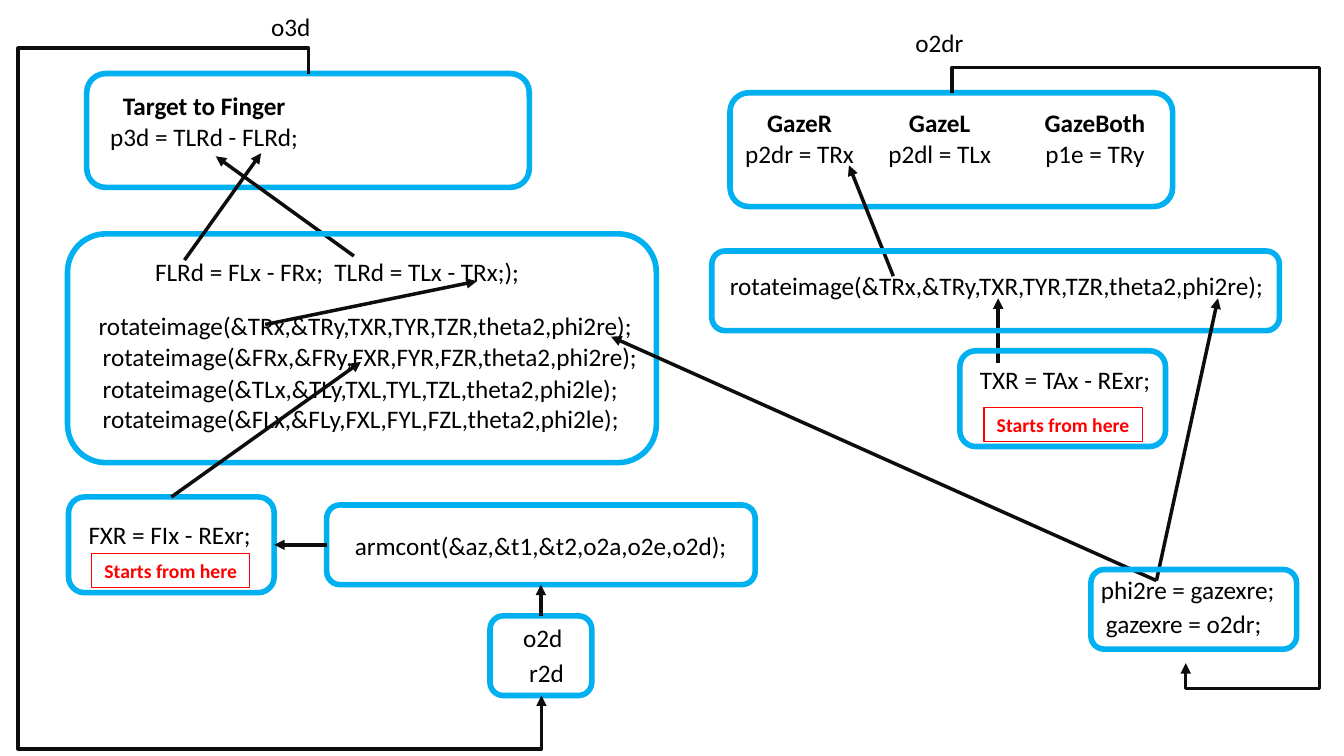
from dataclasses import dataclass

from lxml.etree import SubElement
from pptx import Presentation
from pptx.dml.color import RGBColor
from pptx.enum.shapes import MSO_CONNECTOR, MSO_SHAPE
from pptx.enum.text import MSO_AUTO_SIZE, PP_ALIGN
from pptx.oxml.ns import qn
from pptx.util import Inches, Pt

TOP, LEFT, BOTTOM, RIGHT = range(4)


@dataclass(frozen=True)
class Theme:
    font: str = "Calibri"
    text: RGBColor = RGBColor(0x00, 0x00, 0x00)
    box: RGBColor = RGBColor(0x00, 0xB0, 0xF0)
    arrow: RGBColor = RGBColor(0x0D, 0x0D, 0x0D)
    tag: RGBColor = RGBColor(0xFF, 0x00, 0x00)
    body_size: float = 18
    tag_size: float = 14
    box_line: float = 4
    arrow_line: float = 2.5
    tag_line: float = 0.75


def grid(*cells):
    """Turn columns or rows, ten to the inch, into lengths."""
    return [Inches(cell / 10) for cell in cells]


def write_text(frame, text, *, font, size, color, bold=False,
               bold_first=False, align=None, wrap=True):
    """Write one paragraph for each line of the text."""
    frame.word_wrap = wrap
    frame.auto_size = MSO_AUTO_SIZE.SHAPE_TO_FIT_TEXT
    for index, line in enumerate(text.split("\n")):
        paragraph = frame.add_paragraph() if index else frame.paragraphs[0]
        paragraph.alignment = align
        run = paragraph.add_run()
        run.text = line
        run.font.name = font
        run.font.size = Pt(size)
        run.font.color.rgb = color
        run.font.bold = bold or (bold_first and index == 0)


class FlowSlide:
    def __init__(self, presentation, theme):
        self.theme = theme
        self.slide = presentation.slides.add_slide(presentation.slide_layouts[6])

    def _outline(self, kind, frame, color, width):
        shape = self.slide.shapes.add_shape(kind, *grid(*frame))
        shape.shadow.inherit = False
        shape.fill.background()
        shape.line.color.rgb = color
        shape.line.width = Pt(width)
        return shape

    def box(self, *frame):
        return self._outline(MSO_SHAPE.ROUNDED_RECTANGLE, frame,
                             self.theme.box, self.theme.box_line)

    def tag(self, text, *frame):
        shape = self._outline(MSO_SHAPE.RECTANGLE, frame,
                              self.theme.tag, self.theme.tag_line)
        write_text(shape.text_frame, text, font=self.theme.font,
                   size=self.theme.tag_size, color=self.theme.tag,
                   bold=True, align=PP_ALIGN.CENTER)

    def label(self, text, *frame, **text_format):
        text_box = self.slide.shapes.add_textbox(*grid(*frame))
        write_text(text_box.text_frame, text, font=self.theme.font,
                   size=self.theme.body_size, color=self.theme.text, **text_format)

    def code(self, text, *frame):
        self.label(text, *frame, wrap=False)

    def heading(self, text, *frame):
        self.label(text, *frame, bold_first=True, align=PP_ALIGN.CENTER)

    def arrow(self, start, end, begin=None, finish=None, kind=MSO_CONNECTOR.STRAIGHT):
        """Draw an arrow; begin and finish are (box, side) pairs to join."""
        connector = self.slide.shapes.add_connector(kind, *grid(*start, *end))
        connector.line.color.rgb = self.theme.arrow
        connector.line.width = Pt(self.theme.arrow_line)
        line = connector._element.spPr.find(qn("a:ln"))
        SubElement(line, qn("a:tailEnd"), type="triangle")
        SubElement(connector._element.spPr, qn("a:effectLst"))
        if begin:
            connector.begin_connect(*begin)
        if finish:
            connector.end_connect(*finish)
        return connector

    def loop(self, start, end, side, upper, lower, begin=None, finish=None):
        """Lead an arrow up to one row, round a side column and up from a lower row."""
        connector = self.arrow(start, end, begin, finish, MSO_CONNECTOR.ELBOW)
        width, height = end[1] - start[1], end[0] - start[0]
        left = (start[0] + end[0] - width) / 2
        top = (start[1] + end[1] - height) / 2
        (connector.left, connector.top,
         connector.width, connector.height) = grid(left, top, width, height)
        properties = connector._element.spPr
        transform = properties.find(qn("a:xfrm"))
        transform.attrib.pop("flipV", None)
        transform.set("rot", str(270 * 60000))
        transform.set("flipH", "1")
        geometry = properties.find(qn("a:prstGeom"))
        geometry.set("prst", "bentConnector5")
        guides = geometry.find(qn("a:avLst"))
        bends = ((upper - start[1]) / width, (side - start[0]) / height,
                 (lower - start[1]) / width)
        for number, bend in enumerate(bends, 1):
            SubElement(guides, qn("a:gd"), name=f"adj{number}",
                       fmla=f"val {round(bend * 100000)}")


def draw_finger_side(flow):
    # Target to finger
    target_box = flow.box(8.6, 7.3, 43.9, 11.3)
    flow.heading("Target to Finger\np3d = TLRd - FLRd;", 9.2, 8.5, 22.1, 7.1)
    flow.code("o3d", 25.9, 0.6, 6, 4)
    flow.arrow((35.1, 25.4), (21.4, 15.5))

    # Image rotation
    flow.code("FLRd = FLx - FRx;  TLRd = TLx - TRx;);", 14.4, 24.9, 38.6, 4)
    flow.arrow((26.3, 32.2), (47.3, 27.9))
    flow.box(6.7, 23.2, 58.4, 22.7)
    flow.arrow((18.3, 25.8), (25.9, 15.2))
    flow.code("rotateimage(&TRx,&TRy,TXR,TYR,TZR,theta2,phi2re);", 8.8, 30.3, 55.4, 4)
    flow.code("rotateimage(&FRx,&FRy,FXR,FYR,FZR,theta2,phi2re);", 9.2, 33.4, 55.5, 4)
    flow.label("rotateimage(&TLx,&TLy,TXL,TYL,TZL,theta2,phi2le);\n"
               "rotateimage(&FLx,&FLy,FXL,FYL,FZL,theta2,phi2le);", 9.2, 36.5, 66.7, 7.1)

    # Finger start and arm control
    flow.code("FXR = FIx - RExr;", 7.8, 51, 18.3, 4)
    flow.tag("Starts from here", 9.1, 54.9, 15.7, 3.4)
    finger_box = flow.box(6.8, 49.3, 20.4, 9.5)
    flow.label("armcont(&az,&t1,&t2,o2a,o2e,o2d);", 34.2, 52.1, 39.8, 4)
    arm_box = flow.box(32.4, 50.1, 42.5, 7.9)
    output_box = flow.box(48.6, 61.1, 10.1, 7.9)
    flow.code("o2d", 50.9, 61.2, 6, 4)
    flow.code("r2d", 51.5, 64.7, 5.5, 4)
    flow.arrow((17, 49.3), (35.8, 35.9), begin=(finger_box, TOP))
    flow.arrow((32.4, 54), (27.2, 54), (arm_box, LEFT), (finger_box, RIGHT))
    flow.arrow((53.7, 61.1), (53.7, 58), (output_box, TOP), (arm_box, BOTTOM))
    flow.loop((30.6, 7.3), (53.7, 69), side=1.8, upper=4.8, lower=74.3,
              begin=(target_box, TOP), finish=(output_box, BOTTOM))


def draw_gaze_side(flow):
    # Gaze equations
    gaze_box = flow.box(72.4, 9.2, 43.9, 11.3)
    gazes = (("GazeR\np2dr = TRx", 72.4), ("GazeL\np2dl = TLx", 86.3),
             ("GazeBoth\np1e = TRy", 101.7))
    for text, column in gazes:
        flow.heading(text, column, 10.2, 13.8, 7.1)
    flow.code("o2dr", 89.8, 2.2, 6.8, 4)

    # Image rotation and target start
    flow.arrow((88.6, 27.4), (84.2, 16.4))
    flow.code("rotateimage(&TRx,&TRy,TXR,TYR,TZR,theta2,phi2re);", 71.4, 26.3, 55.4, 4)
    flow.arrow((99, 36), (99, 29.6))
    flow.box(70.6, 24.9, 56.3, 7.9)
    flow.code("TXR = TAx - RExr;", 96.2, 35.7, 19.1, 4)
    flow.tag("Starts from here", 97.6, 40.4, 15.7, 3.4)
    flow.box(95.2, 34.8, 20.4, 9.5)

    # Gaze angle feeding both rotations
    for end in ((60.6, 33.4), (120.8, 29.6)):
        flow.arrow((114.7, 57.6), end)
    flow.code("phi2re = gazexre;", 108.2, 56.5, 19.5, 4)
    flow.code("gazexre = o2dr;", 108.7, 59.9, 17.7, 4)
    flow.box(108.2, 56.5, 20.4, 7.9)
    flow.loop((94.4, 9.2), (117.6, 65.8), side=130.9, upper=6.7, lower=68.3,
              begin=(gaze_box, TOP))


def main():
    presentation = Presentation()
    presentation.slide_width, presentation.slide_height = grid(133.3, 75)
    flow = FlowSlide(presentation, Theme())
    draw_finger_side(flow)
    draw_gaze_side(flow)
    presentation.save("out.pptx")


if __name__ == "__main__":
    main()
